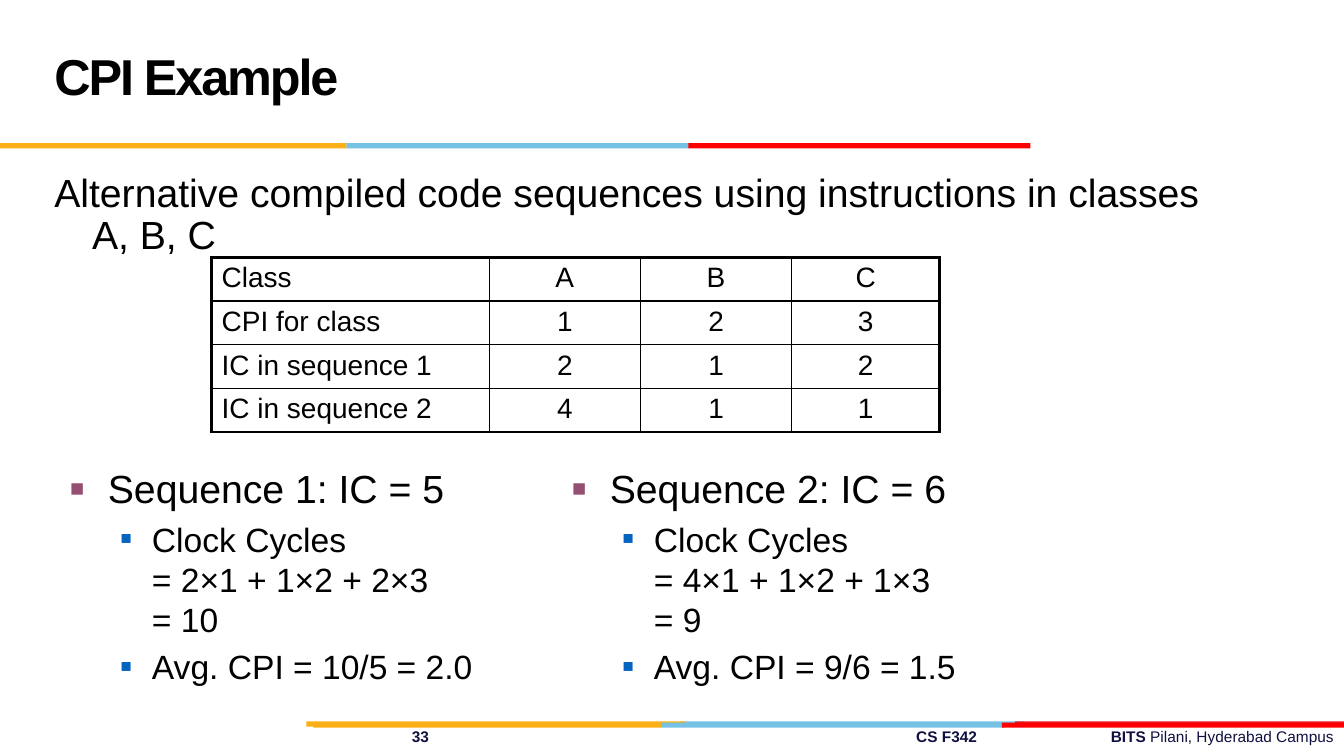
"""Build the CPI example slide: title, class table and two worked sequences."""
from lxml.etree import SubElement
from pptx import Presentation
from pptx.dml.color import RGBColor
from pptx.enum.shapes import MSO_SHAPE as Shape
from pptx.enum.text import MSO_ANCHOR as Anchor, PP_ALIGN as Align
from pptx.oxml.ns import qn
from pptx.util import Cm, Pt

COLORS = {
    "black": "000000", "navy": "101141", "gold": "FCB017", "sky": "76C2E5",
    "crimson": "E31C24", "red": "FF0000", "plum": "954F72", "blue": "0563C1",
}


def add_box(left, top, width, height, inset_top=0.13):
    box = page.shapes.add_textbox(Cm(left), Cm(top), Cm(width), Cm(height))
    box.text_frame.word_wrap = True
    box.text_frame.margin_top = Cm(inset_top)
    return box.text_frame


def write(para, text, size, color="black", bold=False, **layout):
    para.text = text
    for name, value in layout.items():
        setattr(para, name, value)
    for span in para.runs:
        values = {"name": "Arial", "size": Pt(size), "bold": bold}
        for name, value in values.items():
            setattr(span.font, name, value)
        span.font.color.rgb = RGBColor.from_string(COLORS[color])


deck = Presentation()
deck.slide_width, deck.slide_height = Cm(33.87), Cm(19.05)
page = deck.slides.add_slide(deck.slide_layouts[6])

bars = [
    (18.18, [("sky", 17.15, 8.64), ("crimson", 25.58, 8.29), ("gold", 7.72, 9.55)]),
    (18.21, [("sky", 16.66, 8.64), ("gold", 7.9, 8.76), ("red", 25.25, 8.62)]),
    (3.61, [("sky", 8.73, 8.64), ("gold", 0, 8.73), ("red", 17.35, 8.62)]),
]
for top, pieces in bars:
    for color, left, width in pieces:
        bar = page.shapes.add_shape(Shape.RECTANGLE, Cm(left), Cm(top), Cm(width), Cm(0.13))
        bar.shadow.inherit = False
        bar.fill.solid()
        bar.fill.fore_color.rgb = RGBColor.from_string(COLORS[color])
        bar.line.fill.background()

for left, width, text in [(10.13, 2, "33"), (22.84, 3, "CS F342")]:
    write(add_box(left, 18.19, width, 0.74).paragraphs[0], text, 11, "navy", True)
campus = add_box(25.87, 18.19, 8, 0.74).paragraphs[0]
write(campus, "BITS ", 11, "navy", True, alignment=Align.RIGHT)
span = campus.add_run()
span.text = "Pilani, Hyderabad Campus"
span.font.name, span.font.size = "Arial", Pt(11)
span.font.color.rgb = RGBColor.from_string(COLORS["navy"])

title = add_box(1.12, 0.43, 23.42, 3.18)
title.vertical_anchor = Anchor.MIDDLE
write(title.paragraphs[0], "CPI Example", 36, bold=True, line_spacing=Pt(36))
title.paragraphs[0].runs[0]._r.get_or_add_rPr().set("spc", "-150")

intro = add_box(1.12, 4.14, 30.48, 12.57, 0.23).paragraphs[0]
write(intro, "Alternative compiled code sequences using instructions in classes A, B, C",
      28, line_spacing=0.9)
hanging = intro._p.get_or_add_pPr()
hanging.set("marL", str(Cm(0.95)))
hanging.set("indent", str(Cm(-0.95)))

rows = [
    ("Class", "A", "B", "C"),
    ("CPI for class", "1", "2", "3"),
    ("IC in sequence 1", "2", "1", "2"),
    ("IC in sequence 2", "4", "1", "1"),
]
widths = [7, 3.81, 3.81, 3.73]
table = page.shapes.add_table(4, 4, Cm(5.33), Cm(6.48), Cm(sum(widths)), Cm(4.42)).table
table.first_row = table.horz_banding = False
for column, width in zip(table.columns, widths):
    column.width = Cm(width)
for row_index, row in enumerate(rows):
    table.rows[row_index].height = Cm(1.1)
    for column_index, text in enumerate(row):
        cell = table.cell(row_index, column_index)
        write(cell.text_frame.paragraphs[0], text, 20,
              alignment=Align.CENTER if column_index else Align.LEFT)
        heavy_sides = {
            "a:lnL": column_index == 0, "a:lnR": column_index == 3,
            "a:lnT": row_index < 2, "a:lnB": row_index in (0, 3),
        }
        properties = cell._tc.get_or_add_tcPr()
        for side, heavy in heavy_sides.items():
            edge = SubElement(properties, qn(side), w=str(Pt(2.25 if heavy else 1)))
            paint = SubElement(edge, qn("a:solidFill"))
            SubElement(paint, qn("a:srgbClr"), val=COLORS["black"])
        cell.fill.background()

levels = [
    {"size": 28, "margin": 0.95, "hang": 0.95, "color": "plum", "scale": 60},
    {"size": 24, "margin": 2.06, "hang": 0.79, "color": "blue", "scale": 55},
]
sequences = [
    (1.52, ["Sequence 1: IC = 5", "Clock Cycles\n= 2×1 + 1×2 + 2×3\n= 10",
            "Avg. CPI = 10/5 = 2.0"]),
    (14.17, ["Sequence 2: IC = 6", "Clock Cycles\n= 4×1 + 1×2 + 1×3\n= 9",
             "Avg. CPI = 9/6 = 1.5"]),
]
for left, texts in sequences:
    frame = add_box(left, 11.48, 10.8, 5.79, 0.23)
    for index, text in enumerate(texts):
        para = frame.add_paragraph() if index else frame.paragraphs[0]
        depth = min(index, 1)
        level = levels[depth]
        properties = para._p.get_or_add_pPr()
        properties.set("marL", str(Cm(level["margin"])))
        properties.set("indent", str(Cm(-level["hang"])))
        tint = SubElement(properties, qn("a:buClr"))
        SubElement(tint, qn("a:srgbClr"), val=COLORS[level["color"]])
        SubElement(properties, qn("a:buSzPct"), val=str(level["scale"] * 1000))
        SubElement(properties, qn("a:buFont"), typeface="Arial")
        SubElement(properties, qn("a:buChar"), char="■")
        write(para, text, level["size"], level=depth, space_before=Pt(4.8 * depth))

deck.save("out.pptx")
